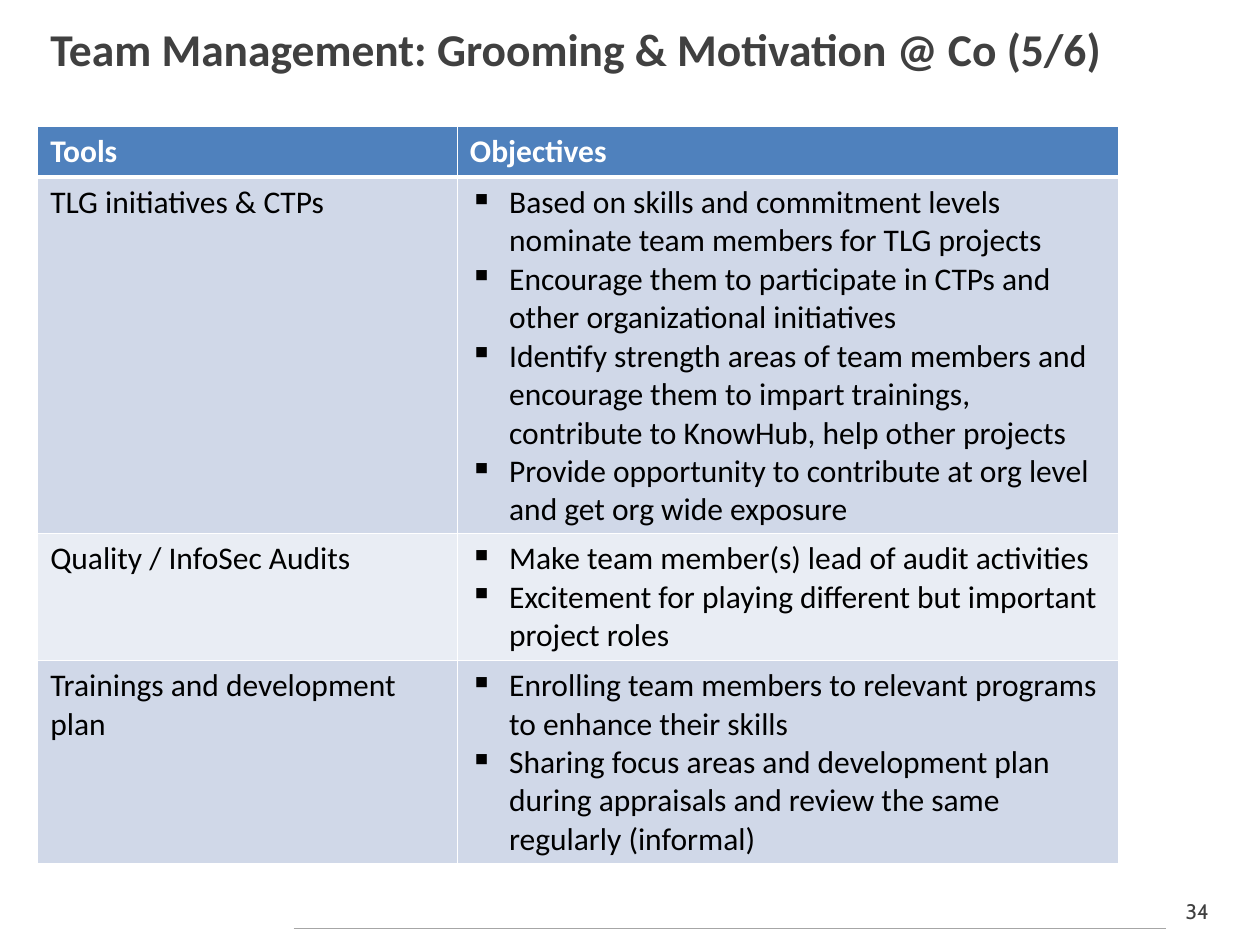
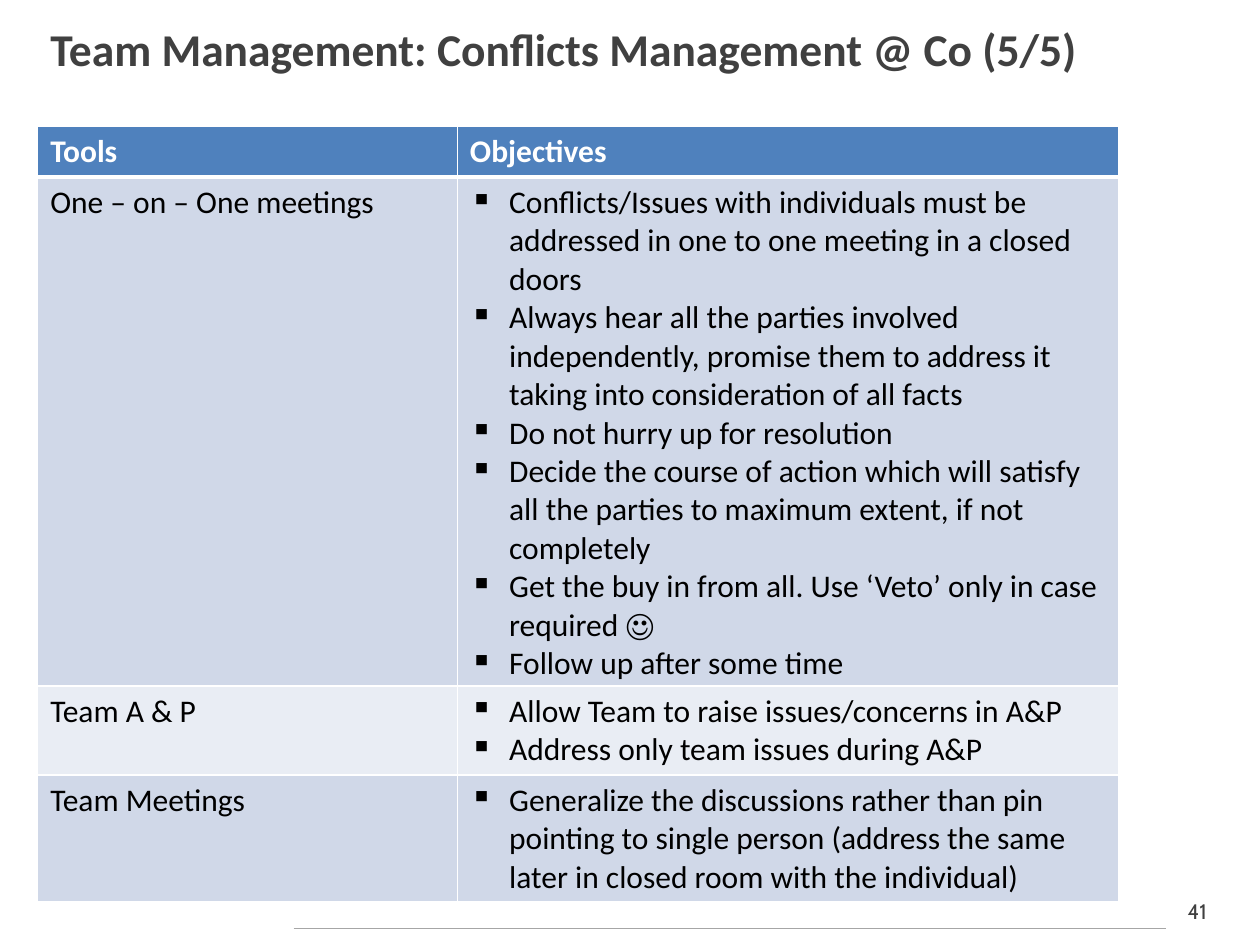
from collections import namedtuple
from dataclasses import dataclass

from lxml.etree import SubElement
from pptx import Presentation
from pptx.dml.color import RGBColor
from pptx.enum.shapes import MSO_CONNECTOR
from pptx.enum.text import MSO_ANCHOR, PP_ALIGN
from pptx.oxml.ns import qn
from pptx.util import Cm, Pt

Box = namedtuple("Box", "left top width height")
Row = namedtuple("Row", "tool objectives line_count")


@dataclass(frozen=True)
class Theme:
    body_font: str = "Calibri"
    number_font: str = "Cabin"
    title_size: int = 26
    table_size: int = 18
    number_size: int = 12
    dark: str = "404040"
    rule: str = "A6A6A6"
    white: str = "FFFFFF"
    black: str = "000000"
    header: str = "4F81BD"
    bands: tuple = ("D0D8E8", "E9EDF4")


THEME = Theme()
TITLE_BOX = Box(0.76, 0.3, 23.77, 1.6)
TABLE_BOX = Box(0.76, 2.54, 21.79, 14.76)
FOOTER_BOX = Box(5.92, 17.98, 18.85, 0.76)
TOOLS_WIDTH = 8.46
NUMBER_WIDTH = 1.27
HEADER_HEIGHT = 1.03
LINE_HEIGHT = 0.77
CELL_PADDING = 0.25
BULLET_INDENT = 0.79

SLIDES = [
    (
        34,
        "Team Management: Grooming & Motivation @ Co (5/6)",
        [
            Row("TLG initiatives & CTPs", [
                "Based on skills and commitment levels nominate team members for TLG projects",
                "Encourage them to participate in CTPs and other organizational initiatives",
                "Identify strength areas of team members and encourage them to impart trainings, "
                "contribute to KnowHub, help other projects",
                "Provide opportunity to contribute at org level and get org wide exposure",
            ], 9),
            Row("Quality / InfoSec Audits", [
                "Make team member(s) lead of audit activities",
                "Excitement for playing different but important project roles",
            ], 3),
            Row("Trainings and development plan", [
                "Enrolling team members to relevant programs to enhance their skills",
                "Sharing focus areas and development plan during appraisals and review "
                "the same regularly (informal)",
            ], 5),
        ],
    ),
    (
        41,
        "Team Management: Conflicts Management @ Co (5/5)",
        [
            Row("One – on – One meetings", [
                "Conflicts/Issues with individuals must be addressed in one to one meeting "
                "in a closed doors",
                "Always hear all the parties involved independently, promise them to address it "
                "taking into consideration of all facts",
                "Do not hurry up for resolution",
                "Decide the course of action which will satisfy all the parties to maximum "
                "extent, if not completely",
                "Get the buy in from all. Use ‘Veto’ only in case required ☺",
                "Follow up after some time",
            ], 13),
            Row("Team A & P", [
                "Allow Team to raise issues/concerns in A&P",
                "Address only team issues during A&P",
            ], 2),
            Row("Team Meetings", [
                "Generalize the discussions rather than pin pointing to single person "
                "(address the same later in closed room with the individual)",
            ], 3),
        ],
    ),
]


def color(code):
    return RGBColor.from_string(code)


def add_run(paragraph, text, size, ink, font=THEME.body_font, bold=False):
    run = paragraph.add_run()
    run.text = text
    run.font.name = font
    run.font.size = Pt(size)
    run.font.bold = bold
    run.font.color.rgb = color(ink)


def add_title(slide, box, text):
    title = slide.shapes.title
    title.left, title.top, title.width, title.height = map(Cm, box)
    title.text_frame.vertical_anchor = MSO_ANCHOR.TOP
    paragraph = title.text_frame.paragraphs[0]
    paragraph.alignment = PP_ALIGN.LEFT
    add_run(paragraph, text, THEME.title_size, THEME.dark, bold=True)


def add_footer(slide, box, number):
    """Draw the rule and, beyond its right end, the page number."""
    number_left = box.left + box.width - NUMBER_WIDTH
    rule_top = Cm(box.top + box.height - 0.02)
    rule = slide.shapes.add_connector(
        MSO_CONNECTOR.STRAIGHT, Cm(box.left), rule_top, Cm(number_left), rule_top)
    rule.line.color.rgb = color(THEME.rule)
    rule.line.width = Pt(0.75)
    SubElement(rule._element.spPr, qn("a:effectLst"))

    page = slide.shapes.add_textbox(
        Cm(number_left), Cm(box.top), Cm(NUMBER_WIDTH), Cm(box.height)).text_frame
    page.word_wrap = True
    page.vertical_anchor = MSO_ANCHOR.MIDDLE
    paragraph = page.paragraphs[0]
    paragraph.alignment = PP_ALIGN.CENTER
    add_run(paragraph, str(number), THEME.number_size, THEME.dark, THEME.number_font)


def style_cell(cell, fill, top=1, bottom=1):
    """Give the cell white borders, in points, and then its fill."""
    properties = cell._tc.get_or_add_tcPr()
    for side, points in (("L", 1), ("R", 1), ("T", top), ("B", bottom)):
        border = SubElement(properties, qn(f"a:ln{side}"), w=str(Pt(points)))
        paint = SubElement(border, qn("a:solidFill"))
        SubElement(paint, qn("a:srgbClr"), val=THEME.white)
    cell.fill.solid()
    cell.fill.fore_color.rgb = color(fill)


def add_bullets(cell, objectives):
    for index, objective in enumerate(objectives):
        frame = cell.text_frame
        paragraph = frame.add_paragraph() if index else frame.paragraphs[0]
        properties = paragraph._p.get_or_add_pPr()
        properties.set("marL", str(Cm(BULLET_INDENT)))
        properties.set("indent", str(-Cm(BULLET_INDENT)))
        SubElement(properties, qn("a:buChar"), char="▪")
        add_run(paragraph, objective, THEME.table_size, THEME.black)


def add_objectives_table(slide, box, rows):
    heights = [HEADER_HEIGHT] + [
        row.line_count * LINE_HEIGHT + CELL_PADDING for row in rows]
    table = slide.shapes.add_table(
        len(heights), 2, Cm(box.left), Cm(box.top), Cm(box.width), Cm(sum(heights))).table
    table.columns[0].width = Cm(TOOLS_WIDTH)
    table.columns[1].width = Cm(box.width - TOOLS_WIDTH)
    for table_row, height in zip(table.rows, heights):
        table_row.height = Cm(height)

    for column, heading in enumerate(("Tools", "Objectives")):
        cell = table.cell(0, column)
        style_cell(cell, THEME.header, bottom=3)
        add_run(cell.text_frame.paragraphs[0], heading,
                THEME.table_size, THEME.white, bold=True)

    for index, row in enumerate(rows, start=1):
        tool, objectives = table.cell(index, 0), table.cell(index, 1)
        for cell in (tool, objectives):
            style_cell(cell, THEME.bands[(index - 1) % 2], top=3 if index == 1 else 1)
        add_run(tool.text_frame.paragraphs[0], row.tool, THEME.table_size, THEME.black)
        add_bullets(objectives, row.objectives)


def add_tools_slide(deck, number, title, rows):
    title_only = deck.slide_layouts[5]
    slide = deck.slides.add_slide(title_only)
    add_footer(slide, FOOTER_BOX, number)
    add_title(slide, TITLE_BOX, title)
    add_objectives_table(slide, TABLE_BOX, rows)


def main():
    deck = Presentation()
    deck.slide_width, deck.slide_height = Cm(25.4), Cm(19.05)
    for number, title, rows in SLIDES:
        add_tools_slide(deck, number, title, rows)
    deck.save("out.pptx")


if __name__ == "__main__":
    main()
